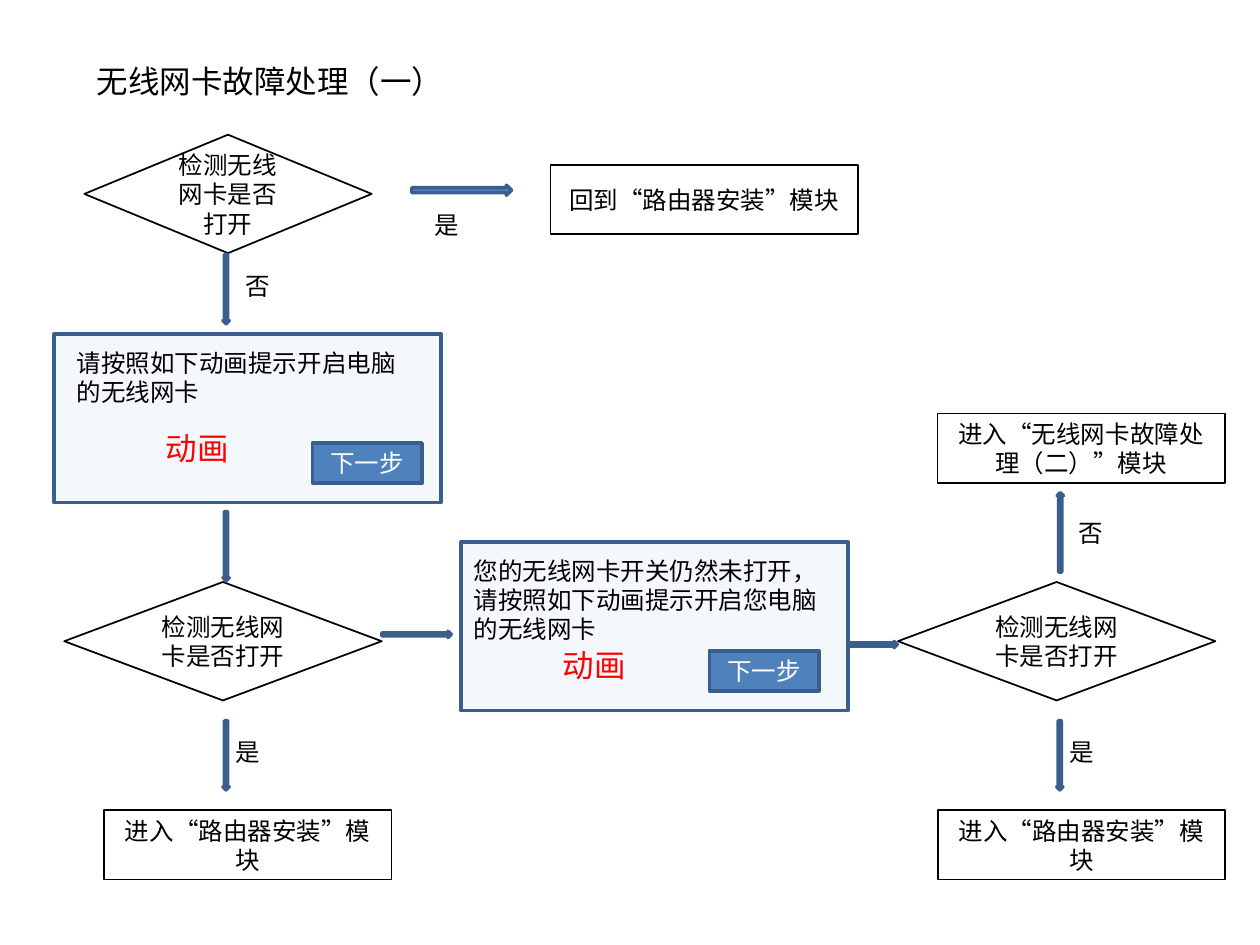
from lxml import etree
from pptx import Presentation
from pptx.dml.color import RGBColor
from pptx.enum.shapes import MSO_SHAPE
from pptx.enum.text import MSO_ANCHOR, PP_ALIGN
from pptx.oxml.ns import qn
from pptx.util import Pt

BLACK = RGBColor(0x00, 0x00, 0x00)
WHITE = RGBColor(0xFF, 0xFF, 0xFF)
RED = RGBColor(0xFF, 0x00, 0x00)
BLUE = RGBColor(0x4F, 0x81, 0xBD)
DARK_BLUE = RGBColor(0x3A, 0x5F, 0x8C)
PALE_BLUE = RGBColor(0xC6, 0xD9, 0xF1)

RECTANGLE = MSO_SHAPE.RECTANGLE
PROCESS = MSO_SHAPE.FLOWCHART_PROCESS
DIAMOND = MSO_SHAPE.DIAMOND
DOWN = MSO_SHAPE.DOWN_ARROW
UP = MSO_SHAPE.UP_ARROW
RIGHT = MSO_SHAPE.RIGHT_ARROW
CENTER = PP_ALIGN.CENTER
LEFT = PP_ALIGN.LEFT
MIDDLE = MSO_ANCHOR.MIDDLE
TOP = MSO_ANCHOR.TOP


class FlowSlide:
    """Font and outline style together with the slide being drawn."""

    font = "Calibri"
    body_size = 14
    large_size = 18

    def __init__(self, slide):
        self.shapes = slide.shapes

    def set_text(self, frame, text, color, size, align, anchor):
        frame.word_wrap = True
        frame.vertical_anchor = anchor
        paragraph = frame.paragraphs[0]
        paragraph.alignment = align
        run = paragraph.add_run()
        run.text = text
        run.font.color.rgb = color
        for name, value in {"name": self.font, "size": Pt(size)}.items():
            setattr(run.font, name, value)

    def label(self, text, x, y, width, height=24.5, color=BLACK, size=body_size):
        box = self.shapes.add_textbox(Pt(x), Pt(y), Pt(width), Pt(height))
        self.set_text(box.text_frame, text, color, size, LEFT, TOP)

    def block(self, kind, x, y, width, height, fill, line, weight):
        shape = self.shapes.add_shape(kind, Pt(x), Pt(y), Pt(width), Pt(height))
        shape.shadow.inherit = False
        shape.fill.solid()
        shape.fill.fore_color.rgb = fill
        shape.line.color.rgb = line
        shape.line.width = Pt(weight)
        return shape

    def step(self, kind, text, x, y, width=164.2, height=39.6):
        shape = self.block(kind, x, y, width, height, WHITE, BLACK, 1)
        self.set_text(shape.text_frame, text, BLACK, self.body_size, CENTER, MIDDLE)

    def decision(self, text, x, y, width=181.4):
        self.step(DIAMOND, text, x, y, width, 67.7)

    def arrow(self, kind, x, y, width=3.6, height=39.6):
        self.block(kind, x, y, width, height, BLUE, DARK_BLUE, 2)

    def button(self, text, x, y):
        shape = self.block(RECTANGLE, x, y, 62.6, 23, BLUE, DARK_BLUE, 2)
        self.set_text(shape.text_frame, text, WHITE, self.body_size, CENTER, MIDDLE)

    def panel(self, x, y, prompt, prompt_x, prompt_width, prompt_height, animation_y):
        shape = self.block(RECTANGLE, x, y, 221, 96.5, PALE_BLUE, DARK_BLUE, 2)
        tint = shape.element.spPr.find(qn("a:solidFill"))[0]
        etree.SubElement(tint, qn("a:alpha")).set("val", "19000")
        self.label(prompt, prompt_x, y + 4.3, prompt_width, prompt_height)
        self.label("动画", prompt_x + 51.1, animation_y, 67.7, 28.8, RED, self.large_size)
        self.button("下一步", prompt_x + 141.9, y + 62.3)


def main():
    deck = Presentation()
    deck.slide_width, deck.slide_height = Pt(720), Pt(540)
    flow = FlowSlide(deck.slides.add_slide(deck.slide_layouts[6]))
    question = "检测无线网卡是否打开"

    # Title
    flow.label("无线网卡故障处理（一）", 48.2, 31.7, 260.6, 28.8, size=flow.large_size)

    # First check and its two answers
    flow.decision(question, 48.2, 77, 164.2)
    flow.arrow(DOWN, 127.4, 145.4)
    flow.label("否", 133.2, 151.2, 33.8)
    flow.arrow(RIGHT, 235.4, 105.8, 56.9, 5.8)
    flow.label("是", 241.2, 116.6, 33.8)
    flow.step(PROCESS, "回到“路由器安装”模块", 314.6, 94.3, 175.7)

    # Prompts with an animation and a button
    flow.panel(31, 190.8, "请按照如下动画提示开启电脑的无线网卡",
               36.7, 203.8, 41, 241.9)
    flow.panel(263.5, 309.6, "您的无线网卡开关仍然未打开，请按照如下动画提示开启您电脑的无线网卡",
               263.5, 221, 58.3, 365.8)

    # Repeated checks, left and right, each leading down to installation
    for shift in (0, 476.4):
        flow.decision(question, 36.7 + shift, 332.6)
        flow.arrow(DOWN, 127.4 + shift, 411.8)
        flow.label("是", 127.4 + shift, 417.6, 56.9)
        flow.step(PROCESS, "进入“路由器安装”模块", 59.5 + shift, 463)

    # Links between the prompts and the repeated checks
    flow.arrow(DOWN, 127.4, 292.3)
    flow.arrow(RIGHT, 218.2, 360.7, 39.6, 3.6)
    flow.arrow(RIGHT, 484.6, 366.5, 28.1, 3.6)

    # Way on to the second part
    flow.arrow(UP, 604.1, 281.5, 3.6, 45.4)
    flow.label("否", 609.1, 292.3, 56.9)
    flow.step(PROCESS, "进入“无线网卡故障处理（二）”模块", 535.7, 236.2)

    deck.save("out.pptx")


if __name__ == "__main__":
    main()
